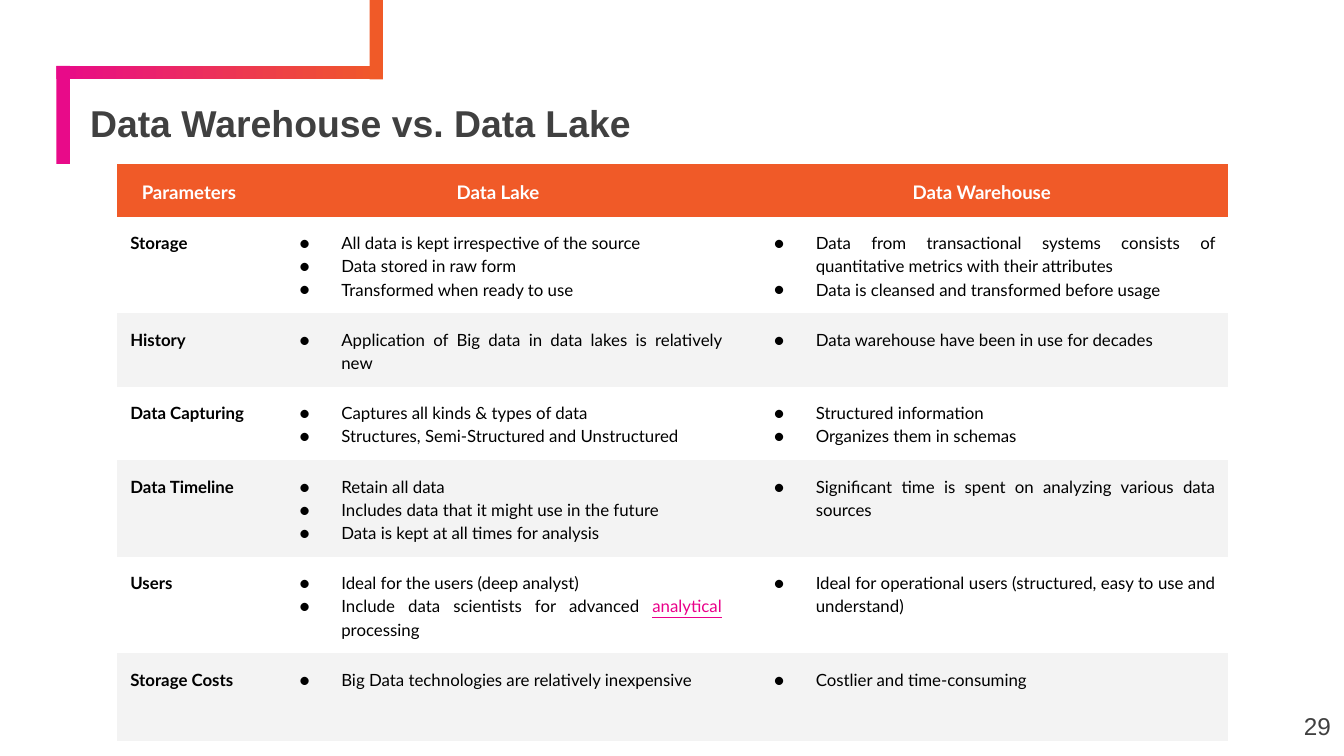
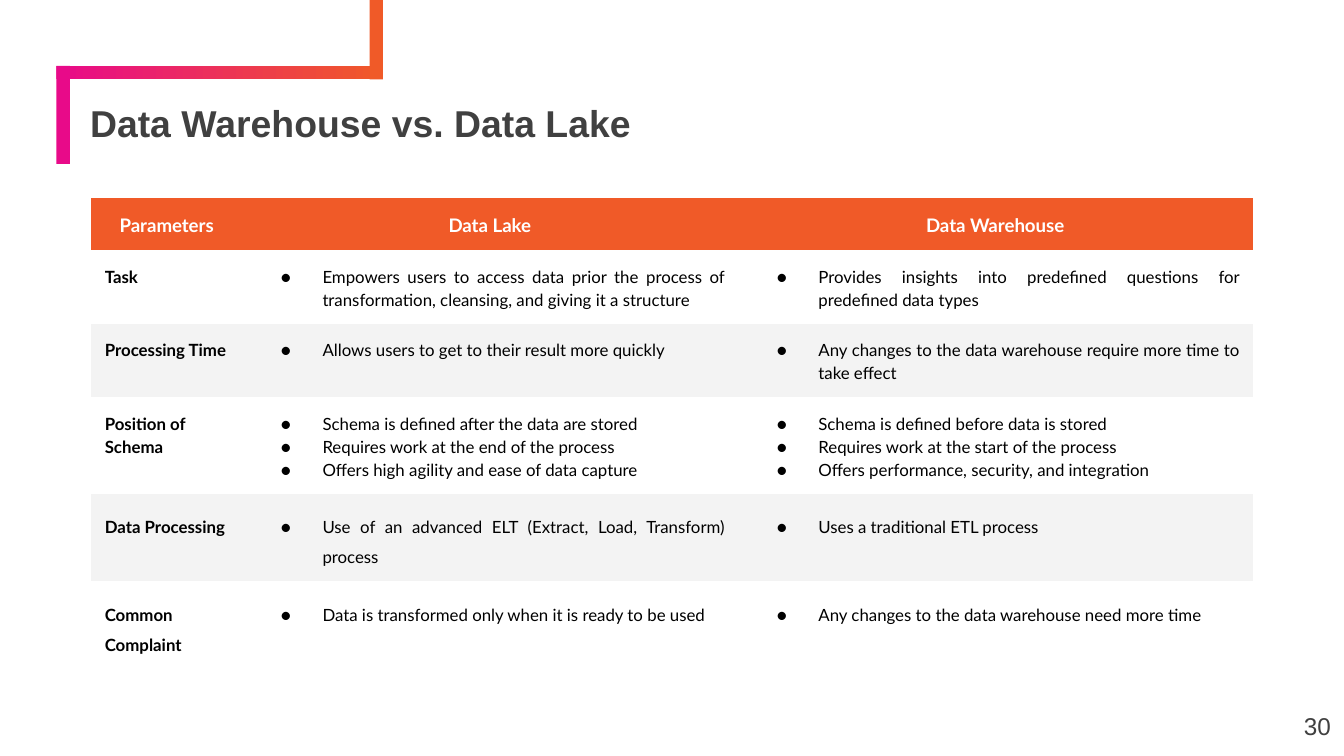
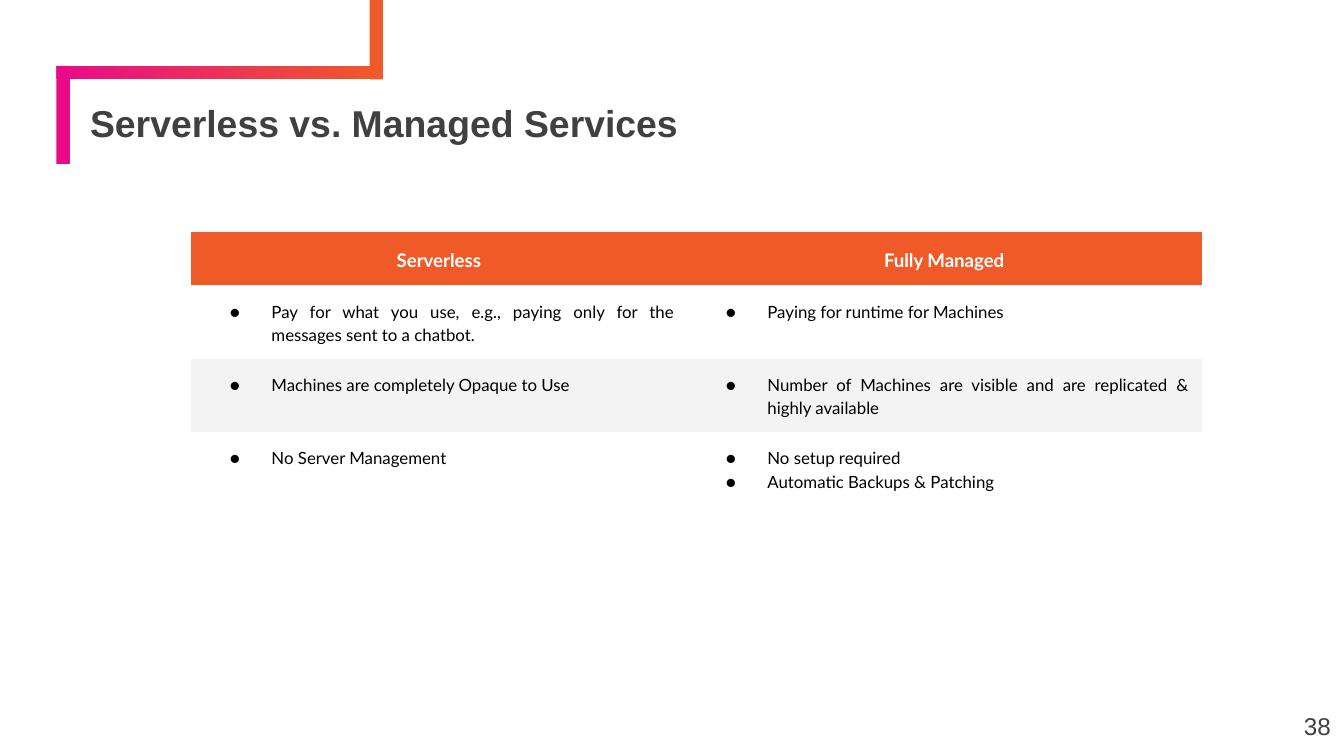
from dataclasses import dataclass

from lxml import etree
from pptx import Presentation
from pptx.dml.color import RGBColor
from pptx.enum.shapes import MSO_SHAPE
from pptx.enum.text import MSO_ANCHOR, MSO_AUTO_SIZE, PP_ALIGN
from pptx.oxml.ns import qn
from pptx.util import Inches, Pt

RECT = MSO_SHAPE.RECTANGLE
TOP = MSO_ANCHOR.TOP
GROW = MSO_AUTO_SIZE.SHAPE_TO_FIT_TEXT
LEFT, MID, RIGHT, JUST = (PP_ALIGN.LEFT, PP_ALIGN.CENTER,
                          PP_ALIGN.RIGHT, PP_ALIGN.JUSTIFY)
PLAIN = "{2D5ABB26-0587-4C30-8999-92F81FD0307C}"

# The grid has square cells of a tenth of an inch.
COLS, ROWS = 100, 56.25
SIDES = ("margin_left", "margin_top", "margin_right", "margin_bottom")


def cells(count):
    return Inches(count / 10)


def rgb(code):
    return RGBColor.from_string(code)


def adjust(item, values):
    for name, value in values.items():
        setattr(item, name, value)


@dataclass(frozen=True)
class Theme:
    orange: str = "F05A28"
    pink: str = "E80A89"
    link: str = "EA008A"
    gray: str = "404040"
    black: str = "000000"
    white: str = "FFFFFF"
    stripe: str = "F3F3F3"
    sans: str = "Arial"
    body: str = "Lato"
    title: int = 20
    page: int = 13
    head: int = 10
    text: int = 9


class Deck:
    def __init__(self, theme):
        self.theme = theme
        self.file = Presentation()
        self.file.slide_width = cells(COLS)
        self.file.slide_height = cells(ROWS)
        self.fonts = {
            "title": (theme.gray, {"name": theme.sans, "size": Pt(theme.title), "bold": True}),
            "page": (theme.gray, {"name": theme.sans, "size": Pt(theme.page), "bold": False}),
            "head": (theme.white, {"name": theme.body, "size": Pt(theme.head), "bold": True}),
            "label": (theme.black, {"name": theme.body, "size": Pt(theme.text), "bold": True}),
            "item": (theme.black, {"name": theme.body, "size": Pt(theme.text), "bold": False}),
        }

    def slide(self, title, page):
        self.page = self.file.slides.add_slide(self.file.slide_layouts[5])
        self.frame()
        self.title(title)
        self.number(page)

    def bar(self, left, top, width, height, *colors):
        """Draw a band: one colour is solid, two make a gradient."""
        bar = self.page.shapes.add_shape(RECT, *map(cells, (left, top, width, height)))
        bar.shadow.inherit = False
        bar.line.fill.background()
        if len(colors) == 1:
            bar.fill.solid()
            bar.fill.fore_color.rgb = rgb(colors[0])
            return
        bar.fill.gradient()
        bar.fill.gradient_angle = 0
        for stop, color in zip(bar.fill.gradient_stops, colors):
            stop.color.rgb = rgb(color)

    def frame(self):
        pink, orange = self.theme.pink, self.theme.orange
        self.bar(4.2, 4.9, 24.3, 1, pink, orange)
        self.bar(4.2, 4.9, 1, 7.3, pink)
        self.bar(27.5, 0, 1, 5.9, orange)

    def put(self, para, text, style, align, space=1.0):
        """Fill a paragraph; parts between bars look like links."""
        adjust(para, {"alignment": align, "line_spacing": space})
        color, font = self.fonts[style]
        for spot, part in enumerate(text.split("|")):
            run = para.add_run()
            run.text = part
            adjust(run.font, font)
            run.font.color.rgb = rgb(color)
            if spot % 2:
                run.font.underline = True
                run.font.color.rgb = rgb(self.theme.link)

    def title(self, text):
        box = self.page.shapes.title
        adjust(box, dict(zip(("left", "top", "width", "height"),
                             map(cells, (6.7, 7.8, 90.3, 3.4)))))
        frame = box.text_frame
        adjust(frame, dict.fromkeys(SIDES, 0))
        adjust(frame, {"vertical_anchor": TOP, "word_wrap": True, "auto_size": GROW})
        self.put(frame.paragraphs[0], text, "title", LEFT, 0.9)

    def number(self, page):
        frame = self.page.shapes.add_textbox(*map(cells, (94, 51.9, 6, 4.3))).text_frame
        adjust(frame, dict.fromkeys(SIDES, cells(1)))
        frame.word_wrap = True
        self.put(frame.paragraphs[0], str(page), "page", RIGHT)

    def bullet(self, para):
        props = para._p.get_or_add_pPr()
        props.set("marL", str(cells(5)))
        props.set("indent", str(-cells(3.1)))
        tint = etree.SubElement(props, qn("a:buClr"))
        etree.SubElement(tint, qn("a:srgbClr"), val=self.theme.black)
        etree.SubElement(props, qn("a:buFont"), typeface=self.theme.body)
        etree.SubElement(props, qn("a:buChar"), char="●")

    def cell(self, cell, entry, fill, head, space):
        """Fill a cell: a list becomes bullets, a string a heading or label."""
        adjust(cell, dict.fromkeys(SIDES, cells(1)))
        cell.fill.solid()
        cell.fill.fore_color.rgb = rgb(fill)
        frame = cell.text_frame
        if isinstance(entry, str):
            style, align = ("head", MID) if head else ("label", LEFT)
            self.put(frame.paragraphs[0], entry, style, align, space)
            return
        for spot, text in enumerate(entry):
            para = frame.add_paragraph() if spot else frame.paragraphs[0]
            self.bullet(para)
            self.put(para, text, "item", JUST, space)

    def table(self, left, top, widths, heights, data, loose=0):
        """Draw a striped table whose last `loose` rows have wider line spacing."""
        size = (left, top, sum(widths), sum(heights))
        shape = self.page.shapes.add_table(len(data), len(widths), *map(cells, size))
        grid = shape.table
        adjust(grid, {"first_row": False, "horz_banding": False})
        for style in shape.element.iter(qn("a:tableStyleId")):
            style.text = PLAIN
        for col, width in zip(grid.columns, widths):
            col.width = cells(width)
        for row, height in zip(grid.rows, heights):
            row.height = cells(height)
        stripes = (self.theme.stripe, self.theme.white)
        for r, line in enumerate(data):
            fill = stripes[r % 2] if r else self.theme.orange
            space = 1.5 if r >= len(data) - loose else 1.15
            for c, entry in enumerate(line):
                self.cell(grid.cell(r, c), entry, fill, r == 0, space)


HEAD = ("Parameters", "Data Lake", "Data Warehouse")

BASICS = [
    HEAD,
    ("Storage",
     ["All data is kept irrespective of the source", "Data stored in raw form",
      "Transformed when ready to use"],
     ["Data from transactional systems consists of quantitative metrics with their attributes",
      "Data is cleansed and transformed before usage"]),
    ("History",
     ["Application of Big data in data lakes is relatively new"],
     ["Data warehouse have been in use for decades"]),
    ("Data Capturing",
     ["Captures all kinds & types of data", "Structures, Semi-Structured and Unstructured"],
     ["Structured information", "Organizes them in schemas"]),
    ("Data Timeline",
     ["Retain all data", "Includes data that it might use in the future",
      "Data is kept at all times for analysis"],
     ["Significant time is spent on analyzing various data sources"]),
    ("Users",
     ["Ideal for the users (deep analyst)",
      "Include data scientists for advanced |analytical| processing"],
     ["Ideal for operational users (structured, easy to use and understand)"]),
    ("Storage Costs",
     ["Big Data technologies are relatively inexpensive"],
     ["Costlier and time-consuming"]),
]

USAGE = [
    HEAD,
    ("Task",
     ["Empowers users to access data prior the process of transformation, cleansing, "
      "and giving it a structure"],
     ["Provides insights into predefined questions for predefined data types"]),
    ("Processing Time",
     ["Allows users to get to their result more quickly"],
     ["Any changes to the data warehouse require more time to take effect"]),
    ("Position of Schema",
     ["Schema is defined after the data are stored",
      "Requires work at the end of the process",
      "Offers high agility and ease of data capture"],
     ["Schema is defined before data is stored",
      "Requires work at the start of the process",
      "Offers performance, security, and integration"]),
    ("Data Processing",
     ["Use of an advanced ELT (Extract, Load, Transform) process"],
     ["Uses a traditional ETL process"]),
    ("Common Complaint",
     ["Data is transformed only when it is ready to be used"],
     ["Any changes to the data warehouse need more time"]),
]

HOSTING = [
    ("Serverless", "Fully Managed"),
    (["Pay for what you use, e.g., paying only for the messages sent to a chatbot."],
     ["Paying for runtime for Machines"]),
    (["Machines are completely Opaque to Use"],
     ["Number of Machines are visible and are replicated & highly available"]),
    (["No Server Management"],
     ["No setup required", "Automatic Backups & Patching"]),
]


def main():
    deck = Deck(Theme())
    pair = [36.9, 38.3]
    lake = "Data Warehouse vs. Data Lake"

    deck.slide(lake, 29)
    deck.table(8.7, 12.2, [10.7, 35.3, 36.7], [3.5, 6.6, 5, 5, 6.6, 6.6, 6.5], BASICS)

    deck.slide(lake, 30)
    deck.table(6.8, 14.7, [11.2] + pair, [3.7, 5.1] + [5.3] * 4, USAGE, loose=2)

    deck.slide("Serverless vs. Managed Services", 38)
    deck.table(14.2, 17.3, pair, [3.7, 5.1] + [5.3] * 2, HOSTING)

    deck.file.save("out.pptx")


if __name__ == "__main__":
    main()
